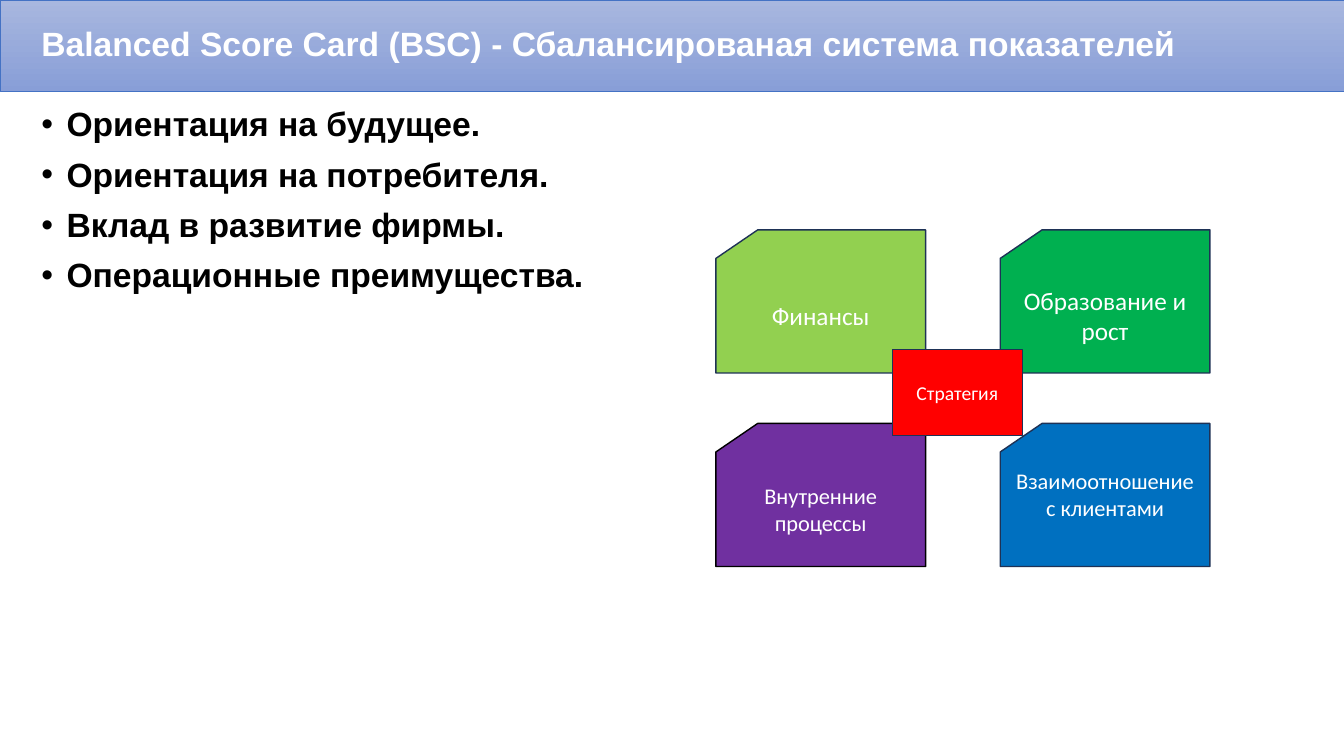
from dataclasses import dataclass

from lxml import etree
from pptx import Presentation
from pptx.dml.color import RGBColor
from pptx.enum import shapes, text
from pptx.oxml import ns
from pptx.util import Inches, Pt

TITLE = "Balanced Score Card (BSC) - Сбалансированая система показателей"
POINTS = [
    "Ориентация на будущее.",
    "Ориентация на потребителя.",
    "Вклад в развитие фирмы.",
    "Операционные преимущества.",
]
# label, column, row, fill, line, type size, bottom inset
CARDS = [
    ("Финансы", 0, 0, "92D050", "1E3256", 18, 0.05),
    ("Взаимоотношение с клиентами", 1, 1, "0070C0", "1E3256", 16, 0.35),
    ("Внутренние процессы", 0, 1, "7030A0", "000000", 16, 0.05),
    ("Образование и рост", 1, 0, "00B050", "1E3256", 18, 0.05),
]
CORE = ("Стратегия", "FF0000", "1E3256", 14)


@dataclass(frozen=True)
class Theme:
    head: str = "Arial"
    label: str = "Calibri"
    white: str = "FFFFFF"
    black: str = "000000"
    top: str = "A8B7DF"
    base: str = "889ED7"
    edge: str = "4472C4"
    size: int = 24


THEME = Theme()
WIDE, HIGH, BAND = 13.33, 7.5, 0.91
LEFT, TOP = 7.1, 2.28
CARD_W, CARD_H = 2.08, 1.42
STEP_X, STEP_Y = 2.82, 1.92


def rgb(code):
    return RGBColor.from_string(code)


def place(item, *box):
    item.left, item.top, item.width, item.height = map(Inches, box)


def write(par, words, font, size, color, bold=False):
    run = par.add_run()
    run.text = words
    run.font.name, run.font.size, run.font.bold = font, Pt(size), bold
    run.font.color.rgb = rgb(color)


def add_box(slide, kind, box, line, width):
    item = slide.shapes.add_shape(kind, *map(Inches, box))
    item.shadow.inherit = False
    item.line.color.rgb = rgb(line)
    item.line.width = Pt(width)
    return item


def add_card(slide, kind, box, words, fill, line, size, inset=0.05):
    card = add_box(slide, kind, box, line, 1)
    card.fill.solid()
    card.fill.fore_color.rgb = rgb(fill)
    frame = card.text_frame
    frame.word_wrap = True
    frame.vertical_anchor = text.MSO_ANCHOR.MIDDLE
    frame.margin_bottom = Inches(inset)
    par = frame.paragraphs[0]
    par.alignment = text.PP_ALIGN.CENTER
    write(par, words, THEME.label, size, THEME.white)


def add_band(slide):
    """Draw the title band behind everything else."""
    band = add_box(slide, shapes.MSO_SHAPE.RECTANGLE, (0, 0, WIDE, BAND),
                   THEME.edge, 0.5)
    band.fill.gradient()
    band.fill.gradient_angle = 270
    for stop, color in zip(band.fill.gradient_stops, (THEME.top, THEME.base)):
        stop.color.rgb = rgb(color)
    slide.shapes._spTree.insert(2, band._element)


def fill_title(title):
    place(title, 0.31, 0, 12.72, BAND)
    frame = title.text_frame
    frame.auto_size = text.MSO_AUTO_SIZE.NONE
    frame.vertical_anchor = text.MSO_ANCHOR.MIDDLE
    par = frame.paragraphs[0]
    par.alignment = text.PP_ALIGN.LEFT
    par.line_spacing = 0.9
    write(par, TITLE, THEME.head, THEME.size, THEME.white, True)


def fill_list(body):
    place(body, 0.31, 1.02, 6.12, 3.69)
    frame = body.text_frame
    frame.auto_size = text.MSO_AUTO_SIZE.NONE
    for i, words in enumerate(POINTS):
        par = frame.add_paragraph() if i else frame.paragraphs[0]
        par.line_spacing = 0.9
        par.space_before = Pt(10 if i else 0)
        props = par._p.get_or_add_pPr()
        props.set("marL", str(Inches(0.25)))
        props.set("indent", str(-Inches(0.25)))
        etree.SubElement(props, ns.qn("a:buFont"), typeface=THEME.head)
        etree.SubElement(props, ns.qn("a:buChar"), char="•")
        write(par, words, THEME.head, THEME.size, THEME.black, True)


def main():
    deck = Presentation()
    deck.slide_width, deck.slide_height = Inches(WIDE), Inches(HIGH)
    slide = deck.slides.add_slide(deck.slide_layouts[1])
    add_band(slide)
    fill_title(slide.shapes.title)
    fill_list(slide.placeholders[1])

    for words, col, row, fill, line, size, inset in CARDS:
        box = (LEFT + col * STEP_X, TOP + row * STEP_Y, CARD_W, CARD_H)
        add_card(slide, shapes.MSO_SHAPE.FLOWCHART_CARD, box,
                 words, fill, line, size, inset)
    add_card(slide, shapes.MSO_SHAPE.RECTANGLE, (8.85, 3.47, 1.29, 0.85), *CORE)
    deck.save("out.pptx")


if __name__ == "__main__":
    main()
